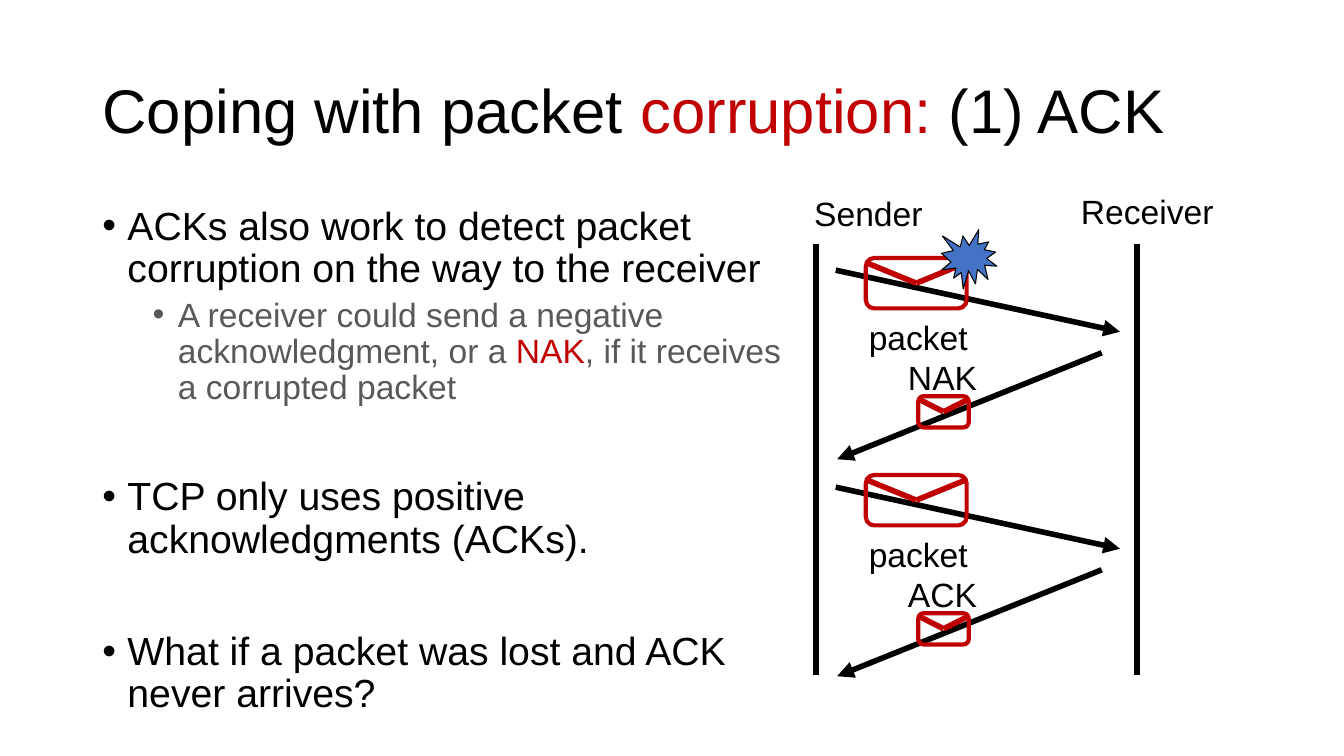
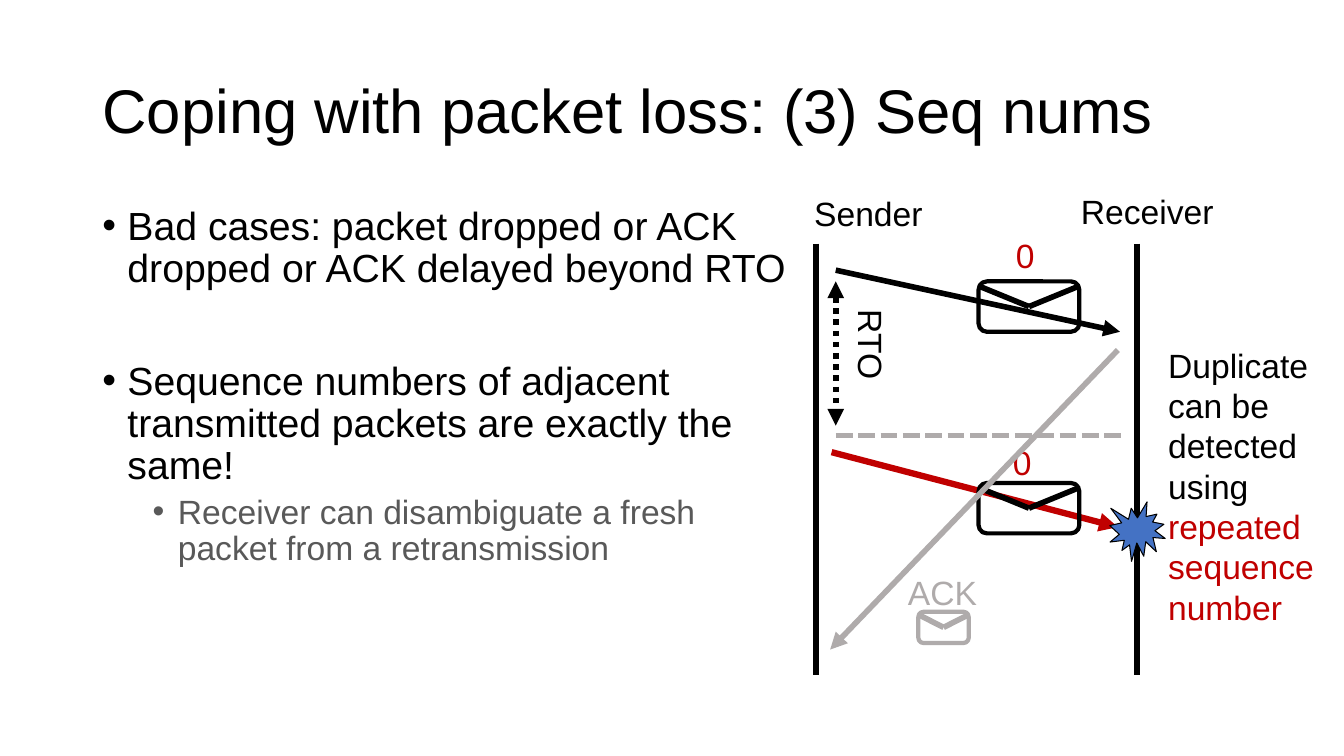
from collections import namedtuple

from lxml.etree import SubElement
from pptx import Presentation
from pptx.dml.color import RGBColor
from pptx.enum.dml import MSO_LINE as DASH
from pptx.enum.shapes import MSO_CONNECTOR as CONN, MSO_SHAPE as SHAPE
from pptx.enum.text import MSO_ANCHOR as ANCHOR, PP_ALIGN as ALIGN
from pptx.oxml.ns import qn
from pptx.util import Pt

BLACK = RGBColor(0x00, 0x00, 0x00)
RED = RGBColor(0xC0, 0x00, 0x00)
GREY = RGBColor(0xAF, 0xAB, 0xAB)
DARK_GREY = RGBColor(0x59, 0x59, 0x59)
BLUE = RGBColor(0x44, 0x72, 0xC4)

FONT = "Arial"
Box = namedtuple("Box", "x y w h")
TITLE = Box(66, 29, 828, 104)
BODY = Box(66, 144, 507, 343)
DIAGRAM = Box(583, 174, 229, 308)

TITLE_FORMAT = {"alignment": ALIGN.LEFT, "line_spacing": 0.9}
BODY_FORMATS = [
    {"size": 28, "left": 18, "space": 10, "color": BLACK},
    {"size": 24, "left": 54, "space": 5, "color": DARK_GREY},
]
SECTION_GAP = 50
ROUND_STEP = 155
PACKET_SIZE = (72, 36)
REPLY_SIZE = (36, 22.3)


def set_all(target, values):
    for name, value in values.items():
        setattr(target, name, value)


def move(sp, box):
    set_all(sp, dict(zip(("left", "top", "width", "height"), map(Pt, box))))


def add_runs(p, runs, size, color):
    """Add (text, colour) runs; a colour of None means the given one."""
    for text, own_color in runs:
        r = p.add_run()
        r.text = text
        set_all(r.font, {"name": FONT, "size": Pt(size)})
        r.font.color.rgb = own_color or color


def add_title(slide, runs):
    sp = slide.shapes.title
    move(sp, TITLE)
    set_all(sp.text_frame, {"vertical_anchor": ANCHOR.MIDDLE, "word_wrap": True})
    p = sp.text_frame.paragraphs[0]
    set_all(p, TITLE_FORMAT)
    add_runs(p, runs, 44, BLACK)


def add_text(slide, box, paragraphs, color=BLACK, wrap=True):
    sp = slide.shapes.add_textbox(*map(Pt, box))
    tf = sp.text_frame
    tf.word_wrap = wrap
    for i, runs in enumerate(paragraphs):
        p = tf.add_paragraph() if i else tf.paragraphs[0]
        add_runs(p, runs, 24, color)
    return sp


def add_bullets(slide, box, items):
    """Place (level, runs) items, with a wide gap before each new main point."""
    tf = slide.shapes.add_textbox(*map(Pt, box)).text_frame
    tf.word_wrap = True
    for i, (level, runs) in enumerate(items):
        p = tf.add_paragraph() if i else tf.paragraphs[0]
        fmt = BODY_FORMATS[level]
        pPr = p._p.get_or_add_pPr()
        pPr.set("marL", str(Pt(fmt["left"])))
        pPr.set("indent", str(Pt(-18)))
        SubElement(pPr, qn("a:buFont")).set("typeface", FONT)
        SubElement(pPr, qn("a:buChar")).set("char", "•")
        space = fmt["space"] if level else SECTION_GAP
        set_all(p, {"level": level, "line_spacing": 0.9,
                    "space_before": Pt(space if i else 0)})
        add_runs(p, runs, fmt["size"], fmt["color"])


def add_line(shapes, start, end, color=BLACK, width=4, dash=None, heads=()):
    sp = shapes.add_connector(CONN.STRAIGHT, *map(Pt, start + end))
    set_all(sp.line, {"width": Pt(width), "dash_style": dash})
    sp.line.color.rgb = color
    for head in heads:
        SubElement(sp.line._ln, qn(f"a:{head}")).set("type", "triangle")
    SubElement(sp._element.spPr, qn("a:effectLst"))


def add_envelope(slide, box, color):
    shapes = slide.shapes.add_group_shape().shapes
    sp = shapes.add_shape(SHAPE.ROUNDED_RECTANGLE, *map(Pt, box))
    sp.shadow.inherit = False
    sp.fill.background()
    sp.line.color.rgb = color
    sp.line.width = Pt(3)
    tip = (box.x + box.w / 2, box.y + box.h / 2)
    for corner_x in (box.x, box.x + box.w):
        add_line(shapes, (corner_x, box.y + 0.09 * box.h), tip, color)


class Diagram:
    """Sender and receiver timeline; parts are placed from the box's top left."""

    def __init__(self, slide, box):
        self.slide, self.box = slide, box
        for x in (0, box.w):
            self.line((x, 0), (x, box.h))
        self.label("Sender", -8.5, -39.5, 109)
        self.label("Receiver", box.w - 47, -41, 121)

    def at(self, x, y):
        return self.box.x + x, self.box.y + y

    def line(self, start, end, **style):
        add_line(self.slide.shapes, self.at(*start), self.at(*end), **style)

    def arrow(self, start, end, **style):
        self.line(start, end, heads=("tailEnd",), **style)

    def label(self, text, x, y, w, **style):
        return add_text(self.slide, Box(*self.at(x, y), w, 36), [[(text, None)]], **style)

    def envelope(self, x, y, size, color):
        add_envelope(self.slide, Box(*self.at(x, y), *size), color)

    def burst(self, x, y):
        sp = self.slide.shapes.add_shape(
            SHAPE.EXPLOSION1, *map(Pt, (*self.at(x, y), 39.6, 42.5)))
        sp.shadow.inherit = False
        sp.fill.solid()
        sp.fill.fore_color.rgb = BLUE
        sp.line.color.rgb = BLACK
        sp.line.width = Pt(0.75)

    def data_arrow(self, y=0):
        self.arrow((14, y + 19), (217, y + 63))

    def reply(self, text, y, text_color, color):
        self.envelope(73, y + 31.7, REPLY_SIZE, color)
        self.label(text, 58.5, y, 64, color=text_color, wrap=False)

    def exchange(self, y, reply):
        """Draw one packet and the reply to it."""
        self.data_arrow(y)
        self.envelope(35.5, y + 10.3, PACKET_SIZE, RED)
        self.arrow((204, y + 78), (15, y + 154))
        self.reply(reply, y + 77.3, BLACK, RED)
        self.label("packet", 30.5, y + 48.5, 86, wrap=False)


def new_slide(prs, title, items):
    slide = prs.slides.add_slide(prs.slide_layouts[5])
    add_title(slide, title)
    add_bullets(slide, BODY, items)
    return slide


def corruption_slide(prs):
    slide = new_slide(
        prs,
        [("Coping with packet ", None), ("corruption:", RED), (" (1) ACK", None)],
        [(0, [("ACKs also work to detect packet corruption on the way to the receiver", None)]),
         (1, [("A receiver could send a negative acknowledgment, or a ", None),
              ("NAK", RED), (", if it receives a corrupted packet", None)]),
         (0, [("TCP only uses positive acknowledgments (ACKs).", None)]),
         (0, [("What if a packet was lost and ACK never arrives?", None)])])
    diagram = Diagram(slide, DIAGRAM)
    for i, reply in enumerate(("NAK", "ACK")):
        diagram.exchange(i * ROUND_STEP, reply)
    diagram.burst(89.5, -10)


def sequence_slide(prs):
    slide = new_slide(
        prs,
        [("Coping with packet loss: (3) Seq nums", None)],
        [(0, [("Bad cases: packet dropped or ACK dropped or ACK delayed beyond RTO", None)]),
         (0, [("Sequence numbers of adjacent transmitted packets are exactly the same!", None)]),
         (1, [("Receiver can disambiguate a fresh packet from a retransmission", None)])])
    diagram = Diagram(slide, DIAGRAM)
    diagram.data_arrow()
    diagram.reply("ACK", 231.3, GREY, GREY)
    diagram.line((14, 137), (219, 137), color=GREY, dash=DASH.SQUARE_DOT)
    diagram.line((14, 27), (14, 130), dash=DASH.ROUND_DOT, heads=("headEnd", "tailEnd"))
    diagram.label("RTO", 0, 61.5, 79).rotation = 90
    diagram.arrow((11, 149), (215.5, 202.5), color=RED, width=4.5)
    diagram.burst(209.7, 184.5)
    add_text(slide, Box(*diagram.at(244.3, 68.6), 129, 211), [
        [("Duplicate", None)],
        [("can be detected using ", None), ("repeated sequence number", RED)]])
    for x, y in ((135.5, -10), (133.5, 138)):
        diagram.label("0", x, y, 36, color=RED)
    for y in (27, 171):
        diagram.envelope(116, y, PACKET_SIZE, BLACK)
    diagram.arrow((215.5, 76), (10, 290), color=GREY)


def main():
    prs = Presentation()
    set_all(prs, {"slide_width": Pt(960), "slide_height": Pt(540)})
    corruption_slide(prs)
    sequence_slide(prs)
    prs.save("out.pptx")


if __name__ == "__main__":
    main()
